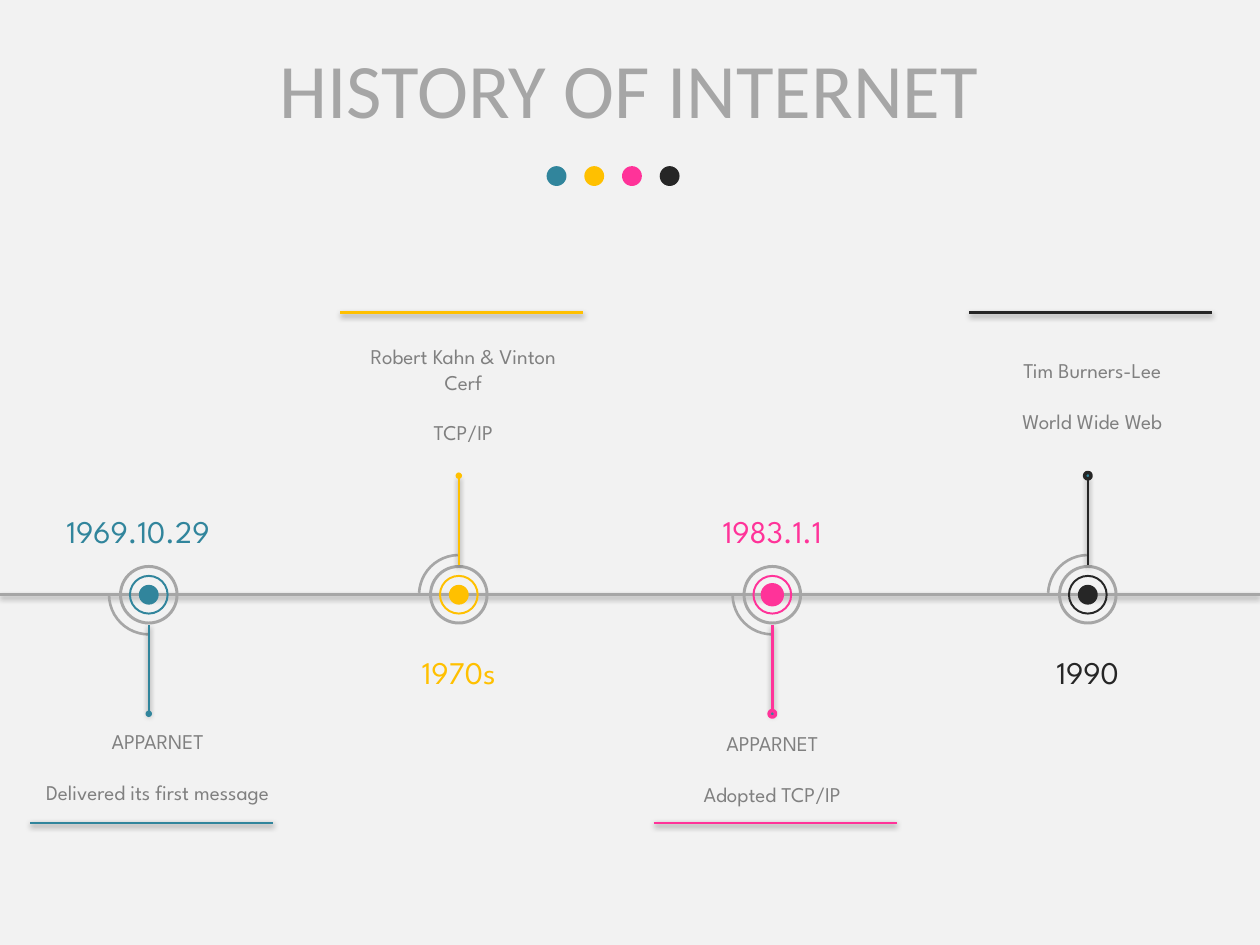
from itertools import pairwise

from lxml import etree
from pptx import Presentation
from pptx.dml.color import RGBColor
from pptx.enum.shapes import MSO_CONNECTOR, MSO_SHAPE
from pptx.enum.text import MSO_ANCHOR, MSO_AUTO_SIZE, PP_ALIGN
from pptx.oxml import parse_xml
from pptx.util import Cm, Pt

OVAL, DONUT, ARC = MSO_SHAPE.OVAL, MSO_SHAPE.DONUT, MSO_SHAPE.ARC
STRAIGHT = MSO_CONNECTOR.STRAIGHT
LEFT, CENTER = PP_ALIGN.LEFT, PP_ALIGN.CENTER
TOP, MIDDLE = MSO_ANCHOR.TOP, MSO_ANCHOR.MIDDLE
GROW = MSO_AUTO_SIZE.SHAPE_TO_FIT_TEXT

PAPER = RGBColor(0xF2, 0xF2, 0xF2)
SILVER = RGBColor(0xA6, 0xA6, 0xA6)
GRAY = RGBColor(0x80, 0x80, 0x80)
TEAL = RGBColor(0x31, 0x85, 0x9C)
GOLD = RGBColor(0xFF, 0xC0, 0x00)
PINK = RGBColor(0xFF, 0x33, 0x99)
BLACK = RGBColor(0x26, 0x26, 0x26)

FONT = "League Spartan"
WIDTH, HEIGHT = 25.4, 19.05
AXIS = 11.99
SHADOW = (
    '<a:effectLst xmlns:a="http://schemas.openxmlformats.org/drawingml/2006/main">'
    '<a:outerShdw blurRad="40000" dist="20000" dir="5400000" rotWithShape="0">'
    '<a:srgbClr val="000000"><a:alpha val="38000"/></a:srgbClr>'
    '</a:outerShdw></a:effectLst>'
)

EVENTS = [
    dict(x=3, color=TEAL, down=True, year="1969.10.29", align=LEFT,
         note=["APPARNET", "Delivered its first message"], box=(0.18, 2.57, 5.84, 1.8)),
    dict(x=9.25, color=GOLD, down=False, year="1970s", align=CENTER,
         note=["Robert Kahn & Vinton Cerf", "TCP/IP"], box=(0.09, -5.18, 4.9, 2.31)),
    dict(x=15.57, color=PINK, down=True, year="1983.1.1", align=CENTER,
         note=["APPARNET", "Adopted TCP/IP"], box=(0, 2.62, 5.49, 1.8),
         edge=PINK, tip=TEAL),
    dict(x=21.93, color=BLACK, down=False, year="1990", align=CENTER,
         note=["Tim Burners-Lee", "World Wide Web"], box=(0.09, -4.9, 4.9, 1.8),
         tip=TEAL),
]


def line(slide, x1, y1, x2, y2, color):
    """Draw a straight line with a soft shadow."""
    rule = slide.shapes.add_connector(STRAIGHT, Cm(x1), Cm(y1), Cm(x2), Cm(y2))
    rule.line.color.rgb = color
    rule.line.width = Pt(1.5)
    rule._element.spPr.append(parse_xml(SHADOW))


def disc(slide, kind, x, y, size, fill=None, edge=None, width=2, adjust=()):
    """Draw a round shape about a centre point."""
    shape = slide.shapes.add_shape(
        kind, Cm(x - size / 2), Cm(y - size / 2), Cm(size), Cm(size))
    shape.shadow.inherit = False
    for i, value in enumerate(adjust):
        shape.adjustments[i] = value
    if fill is None:
        shape.fill.background()
    else:
        shape.fill.solid()
        shape.fill.fore_color.rgb = fill
    if edge is None:
        shape.line.fill.background()
    else:
        shape.line.color.rgb = edge
        shape.line.width = Pt(width)


def write(shape, texts, size, color, font=FONT, align=CENTER, anchor=TOP, gap=0):
    """Fill a shape with one paragraph for each text."""
    frame = shape.text_frame
    frame.word_wrap = True
    frame.auto_size = GROW
    frame.vertical_anchor = anchor
    for i, text in enumerate(texts):
        para = frame.add_paragraph() if i else frame.paragraphs[0]
        para.alignment = align
        if i:
            para.space_before = Pt(gap)
        run = para.add_run()
        run.text = text
        run.font.size = Pt(size)
        run.font.name = font
        run.font.color.rgb = color


def label(slide, x, y, w, h, texts, size, color, **style):
    """Add a text box centred on x with its top at y."""
    box = slide.shapes.add_textbox(Cm(x - w / 2), Cm(y), Cm(w), Cm(h))
    write(box, texts, size, color, **style)


def header(slide, x, y, w, h):
    """Place the title and the row of dots below it."""
    title = slide.shapes.title
    title.left, title.top, title.width, title.height = Cm(x), Cm(y), Cm(w), Cm(h)
    write(title, ["HISTORY OF INTERNET"], 44, SILVER, font="Calibri", anchor=MIDDLE)
    for i, color in enumerate((TEAL, GOLD, PINK, BLACK)):
        disc(slide, OVAL, x + 6.55 + 0.76 * i, y + 2.84, 0.4, color)


def axis(slide, x, y, w):
    """Draw the time line from event to event."""
    stops = [x, *(x + event["x"] for event in EVENTS), x + w]
    for start, end in pairwise(stops):
        line(slide, start, y, end, y, SILVER)


def event(slide, x, y, color, down, year, align, note, box, edge=None, tip=None):
    """Draw one event about its point on the time line."""
    side = 1 if down else -1
    turn = (53.75, 108.84) if down else (109.65, 161.15)
    disc(slide, ARC, x, y, 1.6, edge=SILVER, width=1.5, adjust=turn)
    disc(slide, OVAL, x, y, 0.4, color, edge)
    disc(slide, DONUT, x, y, 0.8, color, adjust=(0.05,))
    disc(slide, DONUT, x, y, 1.2, SILVER, adjust=(0.05,))
    line(slide, x, y + side * 2.4, x, y + side * 0.6, color)
    disc(slide, OVAL, x, y + side * 2.4, 0.13, tip or color, color if tip else None)
    label(slide, x, y + (-1.8 if down else 1.04), 3.81, 1.02, [year], 18, color,
          align=align)
    shift, top, w, h = box
    label(slide, x + shift, y + top, w, h, note, 12, GRAY, gap=14.5)
    rule = y + (4.6 if down else -5.69)
    line(slide, x - 2.39, rule, x + 2.51, rule, color)


def main():
    """Build and save the slide."""
    deck = Presentation()
    deck.slide_width, deck.slide_height = Cm(WIDTH), Cm(HEIGHT)
    slide = deck.slides.add_slide(deck.slide_layouts[5])
    slide.background.fill.solid()
    slide.background.fill.fore_color.rgb = PAPER
    axis(slide, 0, AXIS, WIDTH)
    for item in EVENTS:
        event(slide, y=AXIS, **item)
    header(slide, 4.67, 0.71, 16.03, 2.13)
    deck.save("out.pptx")


main()
